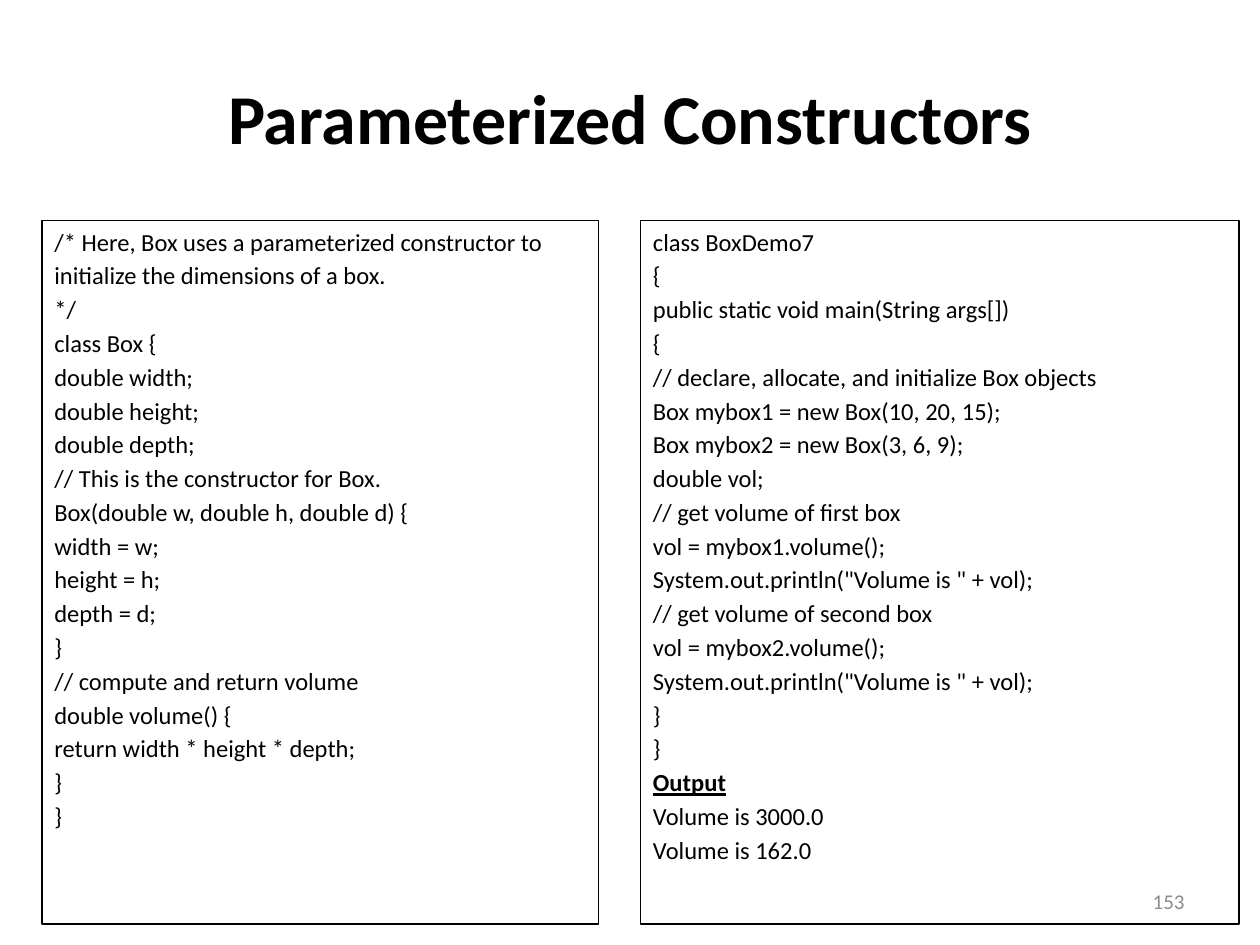
from pptx import Presentation
from pptx.dml.color import RGBColor
from pptx.enum.shapes import MSO_SHAPE as Shape
from pptx.enum.text import MSO_ANCHOR as Anchor, PP_ALIGN as Align
from pptx.util import Inches, Pt

COLUMNS, ROWS = 120, 90
BLACK, GRAY = "000000", "8C8C8C"

BOX_CLASS = """/* Here, Box uses a parameterized constructor to
initialize the dimensions of a box.
*/
class Box {
double width;
double height;
double depth;
// This is the constructor for Box.
Box(double w, double h, double d) {
width = w;
height = h;
depth = d;
}
// compute and return volume
double volume() {
return width * height * depth;
}
}"""

DEMO_CLASS = """class BoxDemo7
{
public static void main(String args[])
{
// declare, allocate, and initialize Box objects
Box mybox1 = new Box(10, 20, 15);
Box mybox2 = new Box(3, 6, 9);
double vol;
// get volume of first box
vol = mybox1.volume();
System.out.println("Volume is " + vol);
// get volume of second box
vol = mybox2.volume();
System.out.println("Volume is " + vol);
}
}
Output
Volume is 3000.0
Volume is 162.0"""


def color(value):
    return RGBColor.from_string(value)


def write(frame, text, size, ink=BLACK, bold=False, align=Align.LEFT,
          anchor=Anchor.TOP, space_before=0, heading=None):
    """Write one paragraph per line; the heading line is bold and underlined."""
    frame.word_wrap = True
    frame.vertical_anchor = anchor
    for index, line in enumerate(text.splitlines()):
        para = frame.add_paragraph() if index else frame.paragraphs[0]
        para.alignment = align
        para.space_before = Pt(space_before)
        span = para.add_run()
        span.text = line
        font = span.font
        font.name, font.size = "Calibri", Pt(size)
        font.color.rgb = color(ink)
        font.bold = bold or line == heading
        font.underline = line == heading


class SlideBuilder:
    """Places elements on a grid of COLUMNS by ROWS cells."""

    def __init__(self, width, height):
        self.deck = Presentation()
        self.deck.slide_width = Inches(width)
        self.deck.slide_height = Inches(height)
        self.slide = self.deck.slides.add_slide(self.deck.slide_layouts[6])

    def place(self, left, top, width, height):
        column = self.deck.slide_width / COLUMNS
        row = self.deck.slide_height / ROWS
        return (round(left * column), round(top * row),
                round(width * column), round(height * row))

    def label(self, area, text, **style):
        box = self.slide.shapes.add_textbox(*self.place(*area))
        write(box.text_frame, text, anchor=Anchor.MIDDLE, **style)

    def code_panel(self, left, width, code, heading=None):
        area = self.place(left, 21, width, 67)
        panel = self.slide.shapes.add_shape(Shape.RECTANGLE, *area)
        panel.shadow.inherit = False
        panel.fill.background()
        panel.line.color.rgb = color(BLACK)
        panel.line.width = Pt(0.75)
        write(panel.text_frame, code, size=14, space_before=2.5, heading=heading)


def main():
    builder = SlideBuilder(10, 7.5)
    builder.label((6, 3.6, 108, 15), "Parameterized Constructors",
                  size=40, bold=True, align=Align.CENTER)
    builder.code_panel(4, 53, BOX_CLASS)
    builder.code_panel(61, 57, DEMO_CLASS, heading="Output")
    builder.label((86, 83.4, 28, 4.8), "153",
                  size=12, ink=GRAY, align=Align.RIGHT)
    builder.deck.save("out.pptx")


if __name__ == "__main__":
    main()
